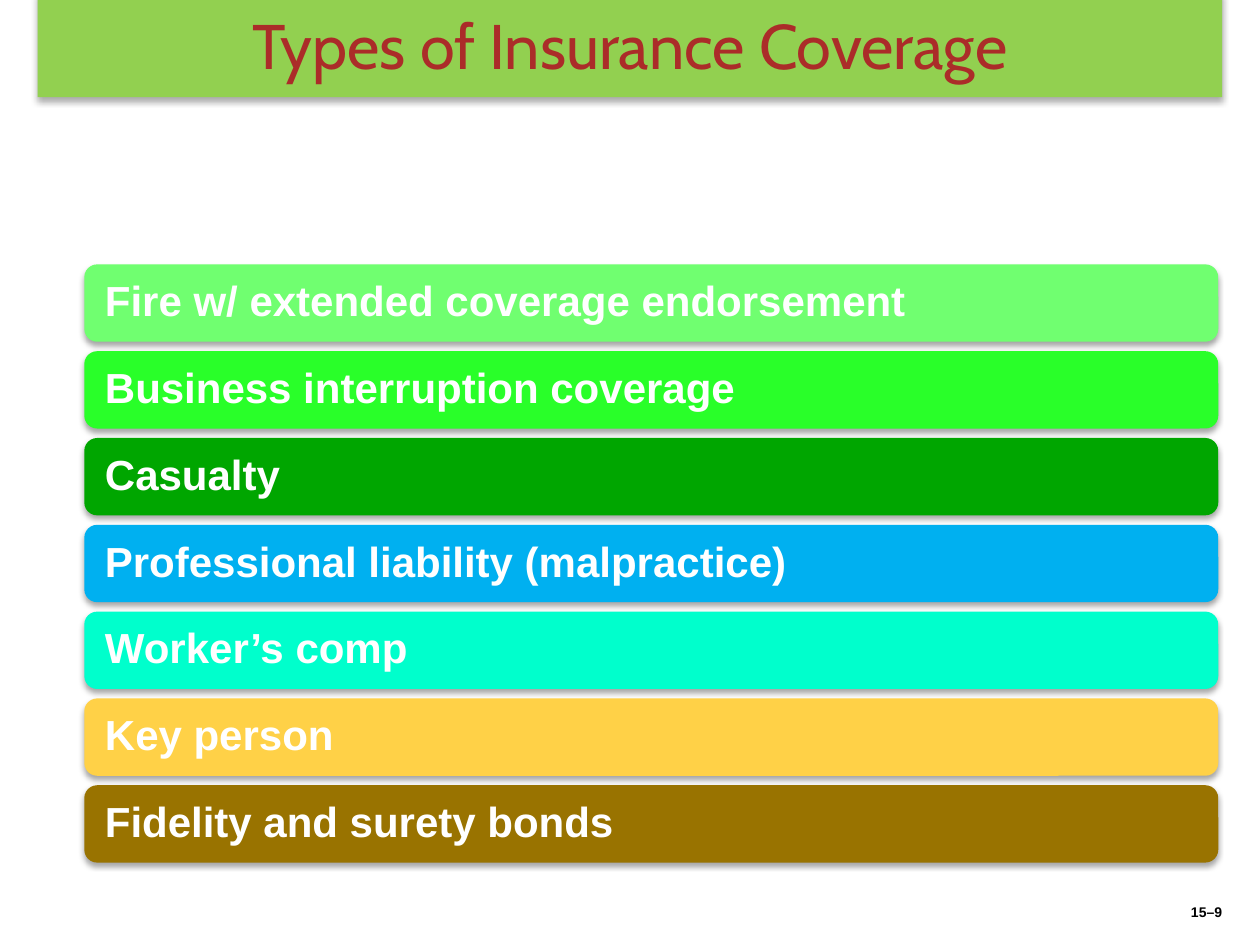
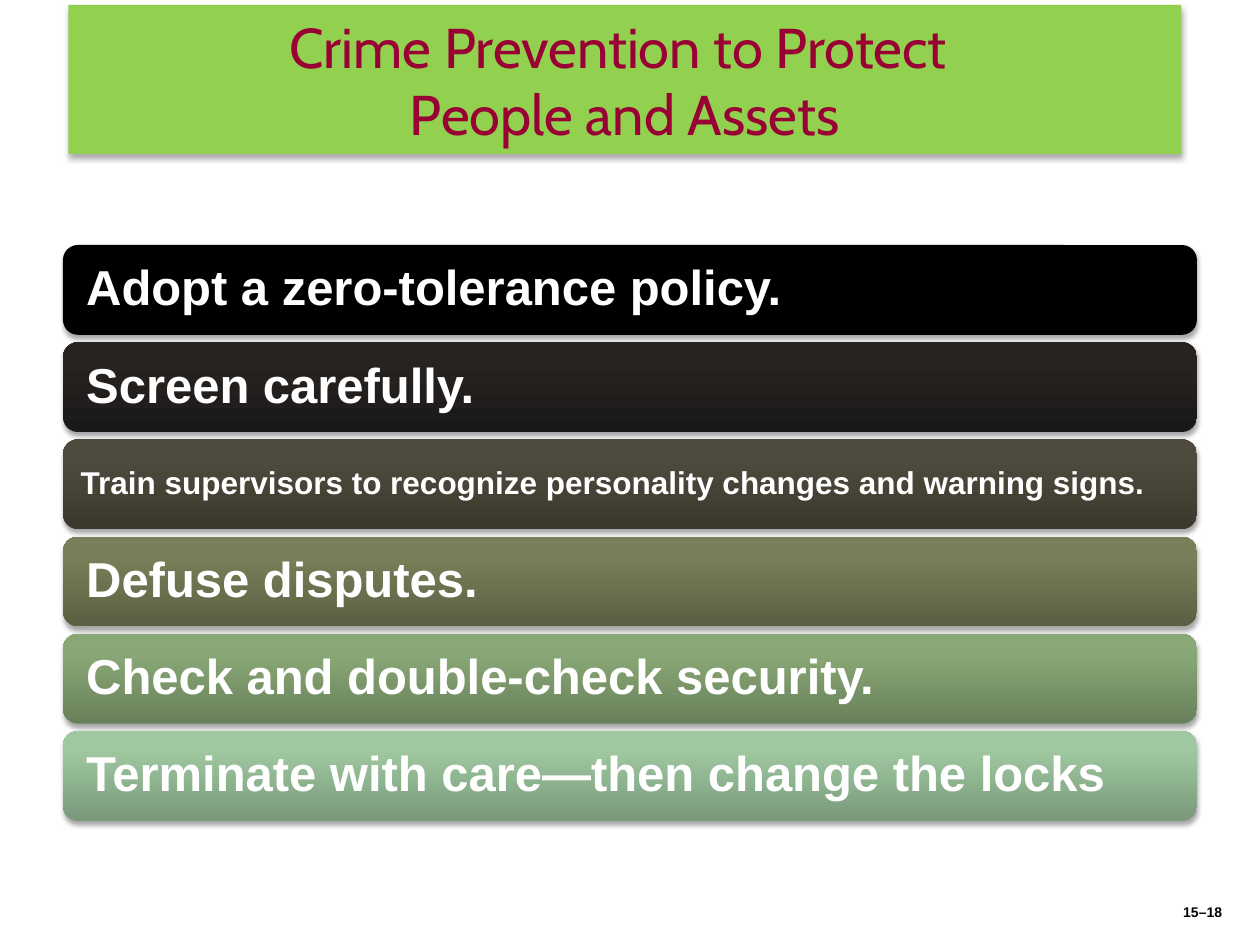
"""Build two insurance and security slides with a title band and stacked bars."""
from lxml import etree
from pptx import Presentation
from pptx import util as u
from pptx.dml.color import RGBColor
from pptx.enum import shapes, text
from pptx.oxml.ns import qn

THEME = {
    "band": "92D050",
    "bar_text": "FFFFFF",
    "number_text": "000000",
    "title_font": "Cabin",
    "body_font": "Arial",
    "number_size": 8,
    "title_shadow": {"blurRad": 44450, "dist": 27940, "alpha": 32000},
    "bar_shadow": {"blurRad": 39400, "dist": 22900, "alpha": 35000},
}

SLIDES = [
    {
        "title": "Types of Insurance Coverage",
        "title_box": (0.76, 0, 23.88, 1.8),
        "title_color": "AB2C29",
        "title_size": 36,
        "number": "15–9",
        "left": 1.7, "top": 5.33, "height": 1.56, "pitch": 1.75,
        "bars": [
            ("Fire w/ extended coverage endorsement", 24, 0.34, ["70FF70"]),
            ("Business interruption coverage", 24, 0.34, ["29FF29"]),
            ("Casualty", 24, 0.34, ["00A600"]),
            ("Professional liability (malpractice)", 24, 0.34, ["00B0F0"]),
            ("Worker’s comp", 24, 0.34, ["00FFCC"]),
            ("Key person", 24, 0.34, ["FFD147"]),
            ("Fidelity and surety bonds", 24, 0.34, ["997300"]),
        ],
    },
    {
        "title": "Crime Prevention to Protect \vPeople and Assets",
        "title_box": (1.38, 0.1, 22.43, 3),
        "title_color": "990033",
        "title_size": 32,
        "number": "15–18",
        "left": 1.27, "top": 4.94, "height": 1.81, "pitch": 1.96,
        "bars": [
            ("Adopt a zero-tolerance policy.", 28, 0.38, ["000000"]),
            ("Screen carefully.", 28, 0.38, ["1B1918", "272321"]),
            ("Train supervisors to recognize personality changes and warning signs.",
             18, 0.27, ["3B382D", "4E4A3D"]),
            ("Defuse disputes.", 28, 0.38, ["5B5F43", "788059"]),
            ("Check and double-check security.", 28, 0.38, ["69815A", "8AA877"]),
            ("Terminate with care—then change the locks", 28, 0.38, ["7A997B", "9FC8A0"]),
        ],
    },
]


def write_text(shape, content, color, frame_format, paragraph_format, font_format):
    """Write one formatted paragraph into a shape."""
    frame = shape.text_frame
    frame.text = content
    paragraph = frame.paragraphs[0]
    for target, values in ((frame, frame_format), (paragraph, paragraph_format),
                           (paragraph.font, font_format)):
        for name, value in values.items():
            setattr(target, name, value)
    paragraph.font.color.rgb = RGBColor.from_string(color)


def paint(shape, colors, shadow):
    """Give a shape a solid or upward gradient fill and a soft shadow below."""
    if len(colors) == 1:
        shape.fill.solid()
        shape.fill.fore_color.rgb = RGBColor.from_string(colors[0])
    else:
        shape.fill.gradient()
        shape.fill.gradient_angle = 90
        for stop, color, position in zip(shape.fill.gradient_stops, colors, (0, 0.8)):
            stop.color.rgb = RGBColor.from_string(color)
            stop.position = position
    shape.line.fill.background()
    shape.shadow.inherit = False
    effects = shape._element.spPr.find(qn("a:effectLst"))
    outer = etree.SubElement(effects, qn("a:outerShdw"), blurRad=str(shadow["blurRad"]),
                             dist=str(shadow["dist"]), dir="5400000", rotWithShape="0")
    shade = etree.SubElement(outer, qn("a:srgbClr"), val="000000")
    etree.SubElement(shade, qn("a:alpha"), val=str(shadow["alpha"]))


presentation = Presentation()
presentation.slide_width, presentation.slide_height = u.Cm(25.4), u.Cm(19.05)

for page in SLIDES:
    slide = presentation.slides.add_slide(presentation.slide_layouts[5])

    title = slide.shapes.title
    title.left, title.top, title.width, title.height = map(u.Cm, page["title_box"])
    paint(title, [THEME["band"]], THEME["title_shadow"])
    write_text(
        title, page["title"], page["title_color"],
        {"auto_size": text.MSO_AUTO_SIZE.SHAPE_TO_FIT_TEXT,
         "vertical_anchor": text.MSO_ANCHOR.MIDDLE},
        {"alignment": text.PP_ALIGN.CENTER},
        {"name": THEME["title_font"], "size": u.Pt(page["title_size"])})

    for row, (label, size, inset, colors) in enumerate(page["bars"]):
        bar = slide.shapes.add_shape(
            shapes.MSO_SHAPE.ROUNDED_RECTANGLE, u.Cm(page["left"]),
            u.Cm(page["top"] + row * page["pitch"]), u.Cm(22.86), u.Cm(page["height"]))
        paint(bar, colors, THEME["bar_shadow"])
        write_text(
            bar, label, THEME["bar_text"],
            {"word_wrap": True, "vertical_anchor": text.MSO_ANCHOR.MIDDLE,
             "margin_left": u.Cm(inset), "margin_right": u.Cm(inset)},
            {"alignment": text.PP_ALIGN.LEFT, "line_spacing": 0.9},
            {"name": THEME["body_font"], "size": u.Pt(size), "bold": True})

    number = slide.shapes.add_textbox(u.Cm(18.49), u.Cm(17.65), u.Cm(6.15), u.Cm(1.02))
    write_text(
        number, page["number"], THEME["number_text"],
        {"word_wrap": True, "vertical_anchor": text.MSO_ANCHOR.BOTTOM,
         "margin_left": 0, "margin_right": 0},
        {"alignment": text.PP_ALIGN.RIGHT},
        {"name": THEME["body_font"], "size": u.Pt(THEME["number_size"]), "bold": True})

presentation.save("out.pptx")
